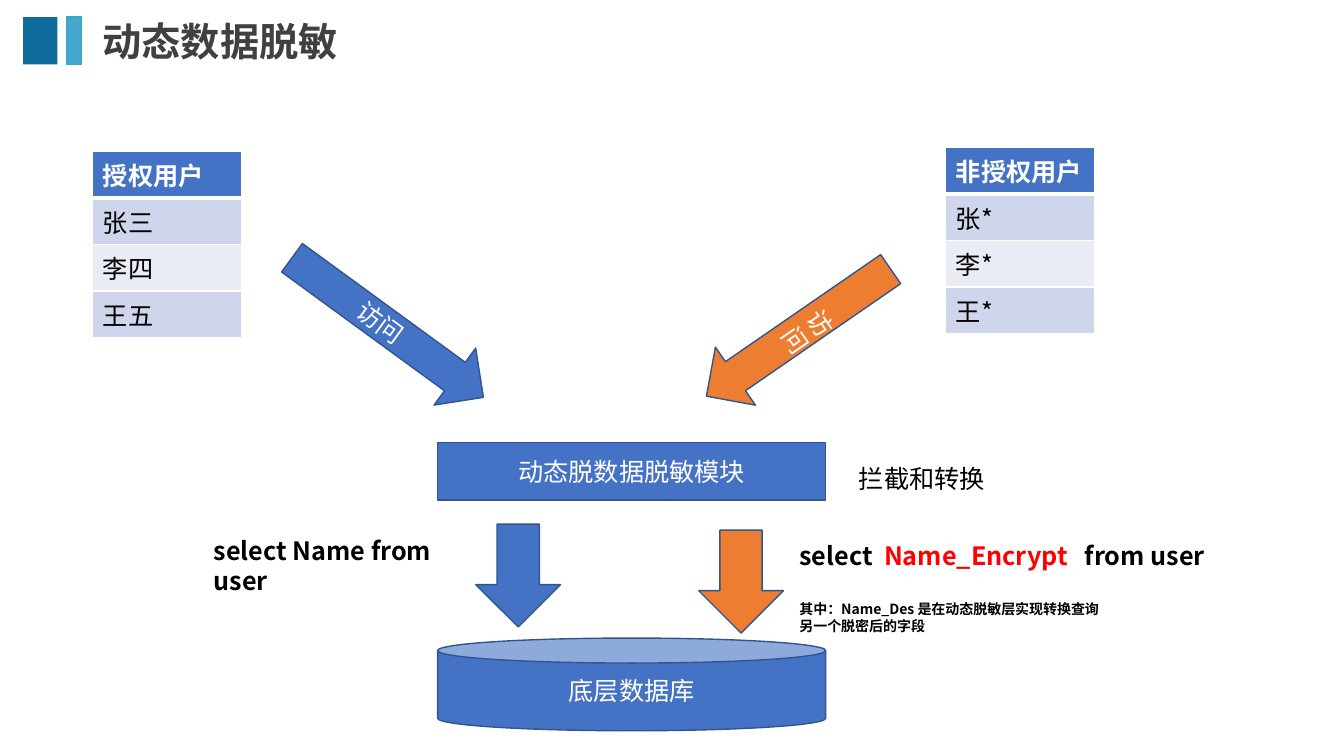
"""Builds the slide on dynamic data masking."""
from dataclasses import dataclass
from typing import Optional

from lxml.etree import SubElement
from pptx import Presentation
from pptx.dml.color import RGBColor
from pptx.enum.shapes import MSO_SHAPE
from pptx.enum.text import MSO_ANCHOR, PP_ALIGN
from pptx.oxml.ns import qn
from pptx.util import Inches, Pt

RECTANGLE, CAN = MSO_SHAPE.RECTANGLE, MSO_SHAPE.CAN
RIGHT_ARROW, DOWN_ARROW = MSO_SHAPE.RIGHT_ARROW, MSO_SHAPE.DOWN_ARROW
TOP, MIDDLE = MSO_ANCHOR.TOP, MSO_ANCHOR.MIDDLE
CENTER, LEFT = PP_ALIGN.CENTER, PP_ALIGN.LEFT

COLOURS = {
    "white": "FFFFFF", "black": "000000", "title": "404040", "red": "FF0000",
    "blue": "4472C4", "orange": "ED7D31", "outline": "325491",
    "teal": "0F6D9E", "sky": "46A6CC", "sky_edge": "2CACC5",
    "band_dark": "CFD5EA", "band_light": "E9EBF5",
}
BODY_FONT, TITLE_FONT = "Noto Sans CJK SC", "TeX Gyre Adventor"
ROW_HEIGHT = 0.46


@dataclass
class Span:
    text: str
    colour: str = "black"
    size: float = 18
    bold: bool = False
    font: str = BODY_FONT
    gap: int = 0


@dataclass
class Line:
    spans: list[Span]
    align: PP_ALIGN = LEFT
    before: float = 0
    spacing: float = 1


@dataclass
class Block:
    kind: MSO_SHAPE
    area: tuple[float, float, float, float]
    fill: str
    line: Optional[str] = "outline"
    text: str = ""
    turn: float = 0
    adjust: tuple[float, ...] = ()
    vertical: bool = False


@dataclass
class Label:
    area: tuple[float, float, float, float]
    lines: list[Line]
    anchor: MSO_ANCHOR = TOP
    wrap: bool = True


@dataclass
class UserTable:
    left: float
    top: float
    rows: list[str]


BLOCKS = [
    Block(RECTANGLE, (0.23, 0.17, 0.34, 0.47), "teal", None),
    Block(RECTANGLE, (0.66, 0.17, 0.15, 0.47), "sky", "sky_edge"),
    Block(CAN, (4.34, 6.33, 3.85, 0.92), "blue", text="底层数据库", adjust=(0.27,)),
    Block(RECTANGLE, (4.34, 4.39, 3.85, 0.57), "blue", text="动态脱数据脱敏模块"),
    Block(RIGHT_ARROW, (2.67, 2.9, 2.35, 0.7), "blue", text="访问", turn=36.1),
    Block(RIGHT_ARROW, (6.81, 2.95, 2.22, 0.7), "orange", text="访问",
          turn=145.4, vertical=True),
    Block(DOWN_ARROW, (4.72, 5.2, 0.84, 1.02), "blue"),
    Block(DOWN_ARROW, (6.93, 5.26, 0.84, 1.02), "orange"),
]
TABLES = [
    UserTable(0.92, 1.5, ["授权用户", "张三", "李四", "王五"]),
    UserTable(9.38, 1.46, ["非授权用户", "张*", "李*", "王*"]),
]
LABELS = [
    Label((0.92, 0.17, 11.12, 0.53),
          [Line([Span("动态数据脱敏", "title", 28, True, TITLE_FONT)], spacing=0.9)],
          MIDDLE),
    Label((8.42, 4.55, 1.46, 0.4), [Line([Span("拦截和转换")])], wrap=False),
    Label((2.02, 5.26, 2.79, 0.7), [Line([Span("select Name from user", bold=True)])]),
    Label((7.83, 5.31, 4.62, 1.04), [
        Line([Span("select", bold=True), Span(" ", bold=True, gap=4),
              Span("Name_Encrypt", "red", bold=True), Span(" ", bold=True, gap=8),
              Span("from user", bold=True)]),
        Line([Span("其中：Name_Des 是在动态脱敏层实现转换查询", size=10, bold=True)],
             before=21.4),
        Line([Span("另一个脱密后的字段", size=10, bold=True)]),
    ]),
]


def colour(name: str) -> RGBColor:
    """Return a palette colour."""
    return RGBColor.from_string(COLOURS[name])


def apply(target, values: dict) -> None:
    """Set each format value on the target."""
    for name, value in values.items():
        setattr(target, name, value)


def write(frame, lines: list[Line]) -> None:
    """Fill a text frame with lines of spans."""
    for index, line in enumerate(lines):
        para = frame.add_paragraph() if index else frame.paragraphs[0]
        apply(para, {"alignment": line.align, "space_before": Pt(line.before),
                     "line_spacing": line.spacing})
        for span in line.spans:
            run = para.add_run()
            run.text = span.text
            run.font.color.rgb = colour(span.colour)
            apply(run.font, {"size": Pt(span.size), "bold": span.bold,
                             "name": span.font})
            properties = run._r.get_or_add_rPr()
            SubElement(properties, qn("a:ea")).set("typeface", span.font)
            if span.gap:
                properties.set("spc", str(span.gap * 100))


def draw_block(page, block: Block) -> None:
    """Draw a filled preset shape with its caption."""
    shape = page.shapes.add_shape(block.kind, *map(Inches, block.area))
    shape.shadow.inherit = False
    shape.rotation = block.turn
    for index, value in enumerate(block.adjust):
        shape.adjustments[index] = value
    shape.fill.solid()
    shape.fill.fore_color.rgb = colour(block.fill)
    if block.line:
        shape.line.color.rgb = colour(block.line)
        shape.line.width = Pt(1)
    else:
        shape.line.fill.background()
    if block.text:
        frame = shape.text_frame
        apply(frame, {"word_wrap": True, "vertical_anchor": MIDDLE})
        write(frame, [Line([Span(block.text, "white")], CENTER)])
        if block.vertical:
            frame._txBody.bodyPr.set("vert", "vert270")


def draw_label(page, label: Label) -> None:
    """Draw a text box."""
    box = page.shapes.add_textbox(*map(Inches, label.area))
    apply(box.text_frame, {"word_wrap": label.wrap, "vertical_anchor": label.anchor})
    write(box.text_frame, label.lines)


def draw_border(cell, side: str, width: float) -> None:
    """Add a white border to one side of a cell."""
    edge = SubElement(cell._tc.get_or_add_tcPr(), qn(f"a:ln{side}"), w=str(Pt(width)))
    fill = SubElement(edge, qn("a:solidFill"))
    SubElement(fill, qn("a:srgbClr")).set("val", COLOURS["white"])


def draw_table(page, table: UserTable) -> None:
    """Draw a one-column user table with a header and banded rows."""
    area = (table.left, table.top, 1.48, ROW_HEIGHT * len(table.rows))
    grid = page.shapes.add_table(len(table.rows), 1, *map(Inches, area)).table
    for index, text in enumerate(table.rows):
        cell, header = grid.cell(index, 0), index == 0
        for side in "LRTB":
            thick = (index, side) in ((0, "B"), (1, "T"))
            draw_border(cell, side, 3 if thick else 1)
        band = "band_dark" if index % 2 else "band_light"
        cell.fill.solid()
        cell.fill.fore_color.rgb = colour("blue" if header else band)
        write(cell.text_frame,
              [Line([Span(text, "white" if header else "black", bold=header)])])


def main() -> None:
    """Build and save the deck."""
    deck = Presentation()
    apply(deck, {"slide_width": Inches(13.33), "slide_height": Inches(7.5)})
    page = deck.slides.add_slide(deck.slide_layouts[6])
    for items, draw in ((BLOCKS, draw_block), (TABLES, draw_table), (LABELS, draw_label)):
        for item in items:
            draw(page, item)
    deck.save("out.pptx")


main()
